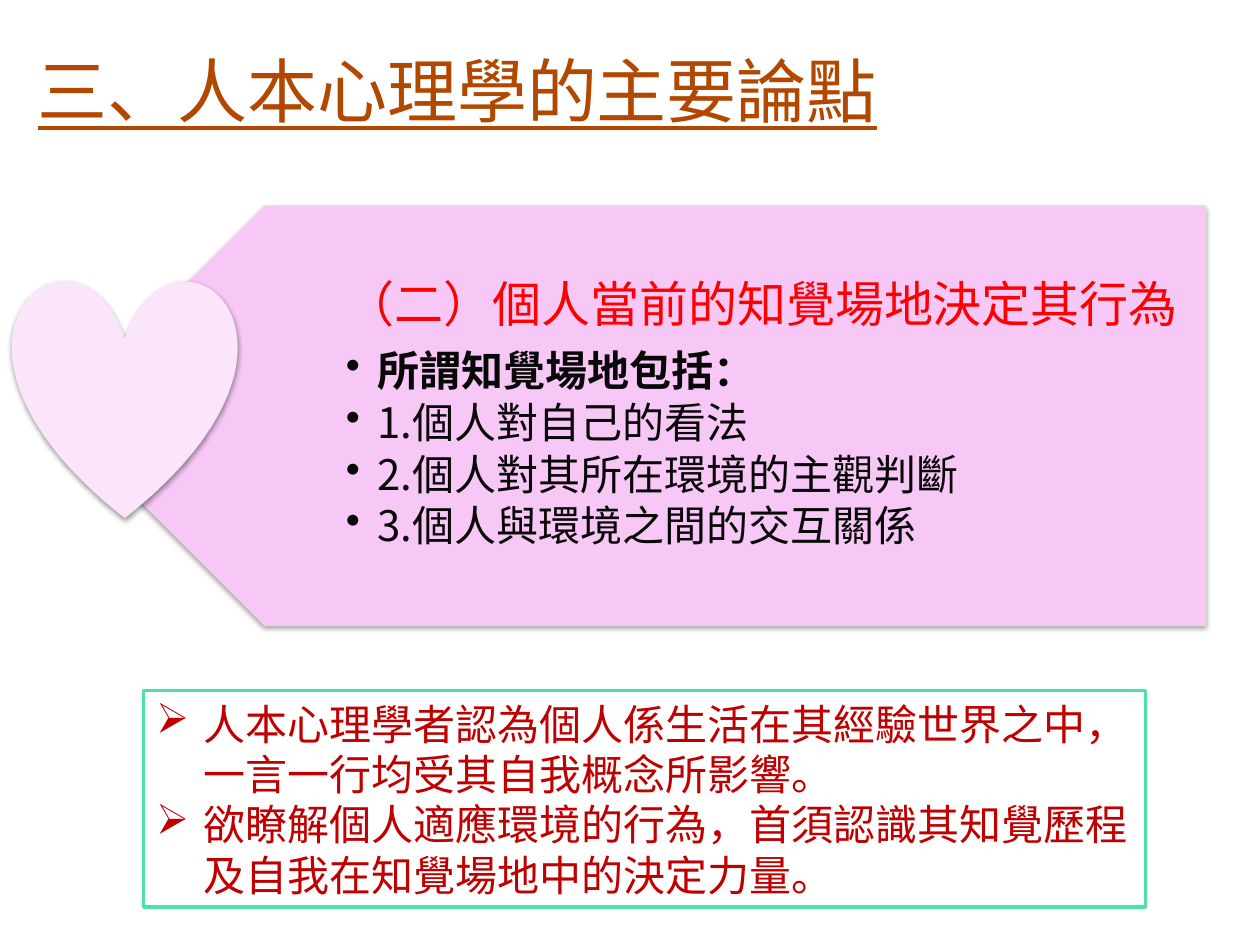
from lxml import etree
from pptx import Presentation
from pptx.dml.color import RGBColor
from pptx.enum.shapes import MSO_SHAPE
from pptx.enum.text import MSO_ANCHOR, PP_ALIGN
from pptx.oxml.ns import qn
from pptx.util import Inches, Pt

PENTAGON, HEART, RECTANGLE = MSO_SHAPE.PENTAGON, MSO_SHAPE.HEART, MSO_SHAPE.RECTANGLE
MIDDLE, LEFT = MSO_ANCHOR.MIDDLE, PP_ALIGN.LEFT
FONT = "Noto Sans CJK SC"
BODY_SIZE = 24

TITLE = "三、人本心理學的主要論點"
HEADING = "（二）個人當前的知覺場地決定其行為"
FIELD_PARTS = [
    "所謂知覺場地包括：",
    "1.個人對自己的看法",
    "2.個人對其所在環境的主觀判斷",
    "3.個人與環境之間的交互關係",
]
CONCLUSIONS = [
    "人本心理學者認為個人係生活在其經驗世界之中，一言一行均受其自我概念所影響。",
    "欲瞭解個人適應環境的行為，首須認識其知覺歷程及自我在知覺場地中的決定力量。",
]


def color(value):
    return RGBColor.from_string(value)


def within(box, left, top, width, height):
    x, y, w, h = box
    return x + left * w, y + top * h, width * w, height * h


def add_panel(slide, kind, box, fill, line=None):
    panel = slide.shapes.add_shape(kind, *map(Inches, box))
    panel.shadow.inherit = False
    panel.fill.solid()
    panel.fill.fore_color.rgb = color(fill)
    if line:
        panel.line.color.rgb = color(line)
        panel.line.width = Pt(2)
    else:
        panel.line.fill.background()
    return panel


def add_shadow(panel, opacity, distance):
    effects = panel._element.spPr.find(qn("a:effectLst"))
    shadow = etree.SubElement(
        effects, qn("a:outerShdw"), blurRad=str(Pt(3.1)),
        dist=str(Pt(distance)), dir="5400000", rotWithShape="0")
    black = etree.SubElement(shadow, qn("a:srgbClr"), val="000000")
    etree.SubElement(black, qn("a:alpha"), val=str(opacity * 1000))


def add_bullet(paragraph, mark, indent):
    props = paragraph._p.get_or_add_pPr()
    props.set("marL", str(Inches(indent)))
    props.set("indent", str(-Inches(indent)))
    bullet = etree.Element(qn("a:buChar"), char=mark)
    props.find(qn("a:defRPr")).addprevious(bullet)


def write(frame, index, text, size, ink, bold=False):
    paragraph = frame.add_paragraph() if index else frame.paragraphs[0]
    paragraph.text = text
    paragraph.alignment = LEFT
    font = paragraph.font
    font.size, font.bold, font.name = Pt(size), bold, FONT
    font.color.rgb = color(ink)
    east_asian = etree.Element(qn("a:ea"), typeface=FONT)
    font._element.find(qn("a:latin")).addnext(east_asian)
    return paragraph


def add_title(slide, box):
    frame = slide.shapes.add_textbox(*map(Inches, box)).text_frame
    frame.word_wrap = False
    write(frame, 0, TITLE, 40, "B24800").font.underline = True


def add_field_banner(slide, box):
    arrow = add_panel(slide, PENTAGON, within(box, 0.035, 0, 0.965, 1), "F7C7F6")
    arrow.rotation = 180
    add_shadow(arrow, 35, 1.8)

    text_box = within(box, 0.124, 0, 0.876, 1)
    frame = slide.shapes.add_textbox(*map(Inches, text_box)).text_frame
    frame.word_wrap = True
    frame.vertical_anchor = MIDDLE
    frame.margin_left, frame.margin_right = Inches(1.47), Inches(0.2)
    frame.margin_top = frame.margin_bottom = Inches(0.12)
    heading = write(frame, 0, HEADING, 28, "FF0000")
    heading.line_spacing, heading.space_after = 0.9, Pt(9.8)
    for index, part in enumerate(FIELD_PARTS, 1):
        item = write(frame, index, part, BODY_SIZE, "080808", bold=index == 1)
        item.level = 1
        item.line_spacing, item.space_after = 0.9, Pt(3.6)
        add_bullet(item, "•", 0.25)

    heart = add_panel(slide, HEART, within(box, 0, 0.174, 0.188, 0.569), "FBE5FB")
    add_shadow(heart, 38, 1.6)


def add_conclusions(slide, box):
    frame = add_panel(slide, RECTANGLE, box, "FFFFFF", "4BE1A8").text_frame
    frame.word_wrap = True
    frame.vertical_anchor = MIDDLE
    for index, conclusion in enumerate(CONCLUSIONS):
        item = write(frame, index, conclusion, BODY_SIZE, "C00000")
        add_bullet(item, "➢", 0.38)


def main():
    deck = Presentation()
    deck.slide_width, deck.slide_height = Inches(10), Inches(7.5)
    slide = deck.slides.add_slide(deck.slide_layouts[6])
    add_title(slide, (0.2, 0.33, 6.93, 0.77))
    add_field_banner(slide, (0.1, 1.63, 9.47, 3.34))
    add_conclusions(slide, (1.14, 5.48, 7.95, 1.72))
    deck.save("out.pptx")


if __name__ == "__main__":
    main()
